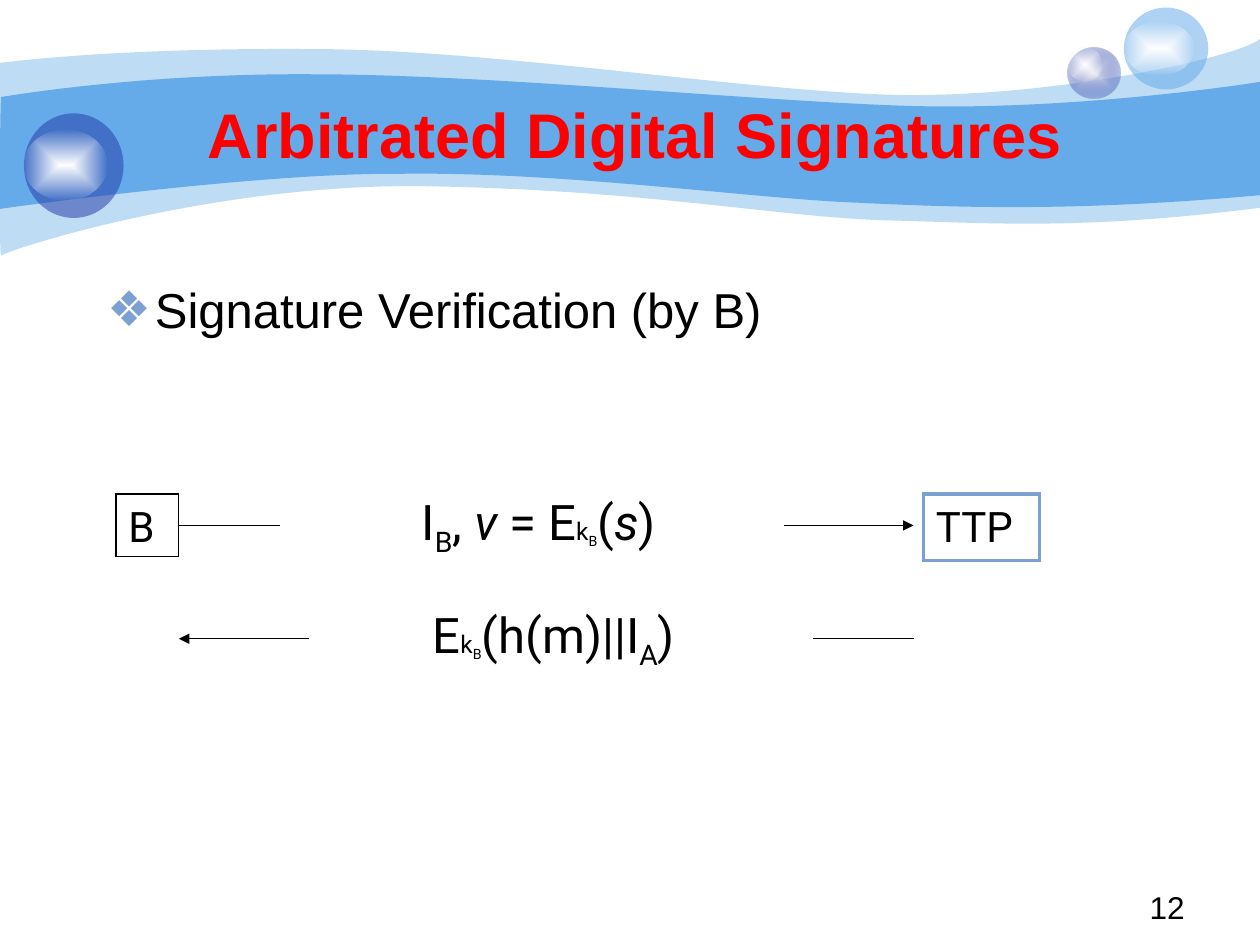
"""Builds the slide on verifying an arbitrated digital signature."""
from lxml import etree
from pptx import Presentation
from pptx import util as u
from pptx.dml.color import RGBColor
from pptx.enum import shapes, text
from pptx.oxml.ns import qn

TITLE = "Arbitrated Digital Signatures"
BULLET = "Signature Verification (by B)"
PAGE = "12"
BLACK, RED, STEEL, SKY, NAVY, WHITE = "000000", "FF0000", "7DA0D3", "65AAE9", "233DA9", "FFFFFF"

WAVES = [
    {"opacity": 41, "start": (0, 0.5),
     "top": [(0.24, 0.47), (1.07, 0.38), (2.47, 0.39), (3.86, 0.39), (5.75, 0.7), (6.99, 0.75),
             (8.22, 0.8), (9.8, 0.47), (10, 0.31)],
     "side": (10, 1.65),
     "bottom": [(8.58, 1.83), (7.87, 1.77), (7.05, 1.75), (6.22, 1.73), (5.15, 1.51), (3.43, 1.48),
                (1.72, 1.44), (0.04, 1.99), (0.01, 2.03), (-0.01, 2.08), (0, 0.75), (0, 0.5)]},
    {"opacity": 100, "start": (0.01, 0.77),
     "top": [(0.02, 0.77), (1.1, 0.58), (2.48, 0.59), (3.86, 0.59), (5.95, 0.8), (7.18, 0.84),
             (8.41, 0.88), (9.76, 0.69), (10, 0.65)],
     "side": (10, 1.55),
     "bottom": [(8.53, 1.68), (7.65, 1.65), (6.82, 1.61), (5.99, 1.58), (4.47, 1.36), (3.17, 1.38),
                (2.03, 1.37), (-0.02, 1.66), (-0.01, 1.66), (0, 1.66), (0, 0.77), (0.01, 0.77)]},
]
GLOW = [(WHITE, 100), (WHITE, 0)]
BUBBLES = [
    ((8.47, 0.38, 0.42, 0.4), [("E1E2ED", 100), (NAVY, 31)]),
    ((8.47, 0.38, 0.28, 0.27), GLOW),
    ((8.92, 0.06, 0.67, 0.65), [(SKY, 53)]),
    ((8.92, 0.17, 0.56, 0.43), GLOW),
    ((0.19, 0.9, 0.79, 0.83), [(NAVY, 53)]),
    ((0.19, 1.03, 0.66, 0.56), GLOW),
]
PARTIES = [("B", (0.92, 3.92, 0.5, 0.5), BLACK, 0.75),
           ("TTP", (7.33, 3.92, 0.92, 0.53), STEEL, 2)]
KEY = [("k", 14, ""), ("B", 14, "sub")]
MESSAGES = [
    ((2.33, 3.85, 3.89, 0.57),
     [("I", 28, ""), ("B", 28, "sub"), (", ", 28, ""), ("v ", 28, "italic"), ("= E", 28, ""),
      *KEY, ("(", 28, ""), ("s", 28, "italic"), (")", 28, "")]),
    ((2.45, 4.75, 3.89, 0.57),
     [("E", 28, ""), *KEY, ("(h(m)||I", 28, ""), ("A", 28, "sub"), (")", 28, "")]),
]
LINES = [(1.42, 2.22, 4.17, False), (6.22, 7.25, 4.17, True),
         (7.25, 6.45, 5.07, False), (2.45, 1.42, 5.07, True)]


def rgb(value):
    return RGBColor.from_string(value)


def inches(values):
    return [u.Inches(v) for v in values]


def style(run, size, color=BLACK, face="Roboto", bold=False):
    run.font.size, run.font.name, run.font.bold = u.Pt(size), face, bold
    run.font.color.rgb = rgb(color)


def place(holder, box):
    holder.left, holder.top, holder.width, holder.height = inches(box)


def paint(shape, stops):
    shape.shadow.inherit = False
    shape.line.fill.background()
    if len(stops) == 1:
        shape.fill.solid()
        shape.fill.fore_color.rgb = rgb(stops[0][0])
    else:
        shape.fill.gradient()
        for stop, (color, _) in zip(shape.fill.gradient_stops, stops):
            stop.color.rgb = rgb(color)
        gradient = shape._element.spPr.find(qn("a:gradFill"))
        gradient.remove(gradient.find(qn("a:lin")))
        focus = etree.SubElement(gradient, qn("a:path"), path="shape")
        etree.SubElement(focus, qn("a:fillToRect"), l="50000", t="50000", r="50000", b="50000")
    for tint, (_, opacity) in zip(shape._element.spPr.iter(qn("a:srgbClr")), stops):
        if opacity < 100:
            etree.SubElement(tint, qn("a:alpha"), val=str(opacity * 1000))


def bend(segments):
    for i in range(0, len(segments), 3):
        curve = etree.Element(qn("a:cubicBezTo"))
        segments[i].addprevious(curve)
        for segment in segments[i:i + 3]:
            curve.append(segment[0])
            segment.getparent().remove(segment)


def add_wave(slide, opacity, start, top, side, bottom):
    builder = slide.shapes.build_freeform(*inches(start))
    builder.add_line_segments([inches(p) for p in [*top, side, *bottom]], close=True)
    wave = builder.convert_to_shape()
    segments = list(wave._element.spPr.iter(qn("a:lnTo")))
    bend(segments[:len(top)])
    bend(segments[len(top) + 1:len(top) + 1 + len(bottom)])
    paint(wave, [(SKY, opacity)])


def add_label(slide, box, runs, align):
    label = slide.shapes.add_textbox(*inches(box))
    label.text_frame.word_wrap = True
    paragraph = label.text_frame.paragraphs[0]
    paragraph.alignment = align
    for words, size, look in runs:
        run = paragraph.add_run()
        run.text = words
        style(run, size)
        run.font.italic = look == "italic"
        if look == "sub":
            run.font._element.set("baseline", "-25000")
    return label


def add_headings(slide):
    title, body = slide.placeholders
    for holder, box, words in ((title, (1, 0.75, 8.08, 0.62), TITLE),
                               (body, (0.75, 2.17, 8.5, 0.68), BULLET)):
        holder._element.getparent().append(holder._element)
        place(holder, box)
        holder.text_frame.text = words
        holder.text_frame.auto_size = text.MSO_AUTO_SIZE.NONE
    title.text_frame.vertical_anchor = text.MSO_ANCHOR.MIDDLE
    heading, item = title.text_frame.paragraphs[0], body.text_frame.paragraphs[0]
    heading.alignment = text.PP_ALIGN.CENTER
    style(heading.runs[0], 36, RED, "Arial", True)
    item.space_before = u.Pt(0)
    props = item._p.get_or_add_pPr()
    props.set("marL", str(u.Inches(0.38)))
    props.set("indent", str(u.Inches(-0.38)))
    tint = etree.SubElement(props, qn("a:buClr"))
    etree.SubElement(tint, qn("a:srgbClr"), val=STEEL)
    etree.SubElement(props, qn("a:buChar"), char="❖")
    style(item.runs[0], 28, BLACK, "Arial")


def add_party(slide, name, box, color, width):
    party = slide.shapes.add_shape(shapes.MSO_SHAPE.RECTANGLE, *inches(box))
    party.shadow.inherit = False
    party.fill.background()
    party.line.color.rgb, party.line.width = rgb(color), u.Pt(width)
    etree.SubElement(party.line._get_or_add_ln(), qn("a:miter"), lim="800000")
    frame = party.text_frame
    frame.text, frame.word_wrap = name, True
    frame.vertical_anchor = text.MSO_ANCHOR.TOP
    frame.paragraphs[0].alignment = text.PP_ALIGN.LEFT
    style(frame.paragraphs[0].runs[0], 24)
    return party


def add_line(slide, start, end, y, arrow):
    line = slide.shapes.add_connector(shapes.MSO_CONNECTOR.STRAIGHT, *inches((start, y, end, y)))
    line.line.color.rgb, line.line.width = rgb(BLACK), u.Pt(0.75)
    if arrow:
        etree.SubElement(line.line._get_or_add_ln(), qn("a:tailEnd"), type="triangle")
    etree.SubElement(line._element.spPr, qn("a:effectLst"))
    return line


def main():
    deck = Presentation()
    deck.slide_width, deck.slide_height = inches((10, 7.5))
    slide = deck.slides.add_slide(deck.slide_layouts[1])
    for wave in WAVES:
        add_wave(slide, **wave)
    for box, stops in BUBBLES:
        paint(slide.shapes.add_shape(shapes.MSO_SHAPE.OVAL, *inches(box)), stops)
    page = add_label(slide, (7.17, 7, 2.33, 0.35), [(PAGE, 18, "")], text.PP_ALIGN.RIGHT)
    style(page.text_frame.paragraphs[0].runs[0], 18, BLACK, "Arial")
    add_headings(slide)
    sender, _ = [add_party(slide, *party) for party in PARTIES]
    request, *_ = [add_line(slide, *line) for line in LINES]
    request.begin_connect(sender, 3)
    for box, runs in MESSAGES:
        add_label(slide, box, runs, text.PP_ALIGN.CENTER)
    deck.save("out.pptx")


if __name__ == "__main__":
    main()
